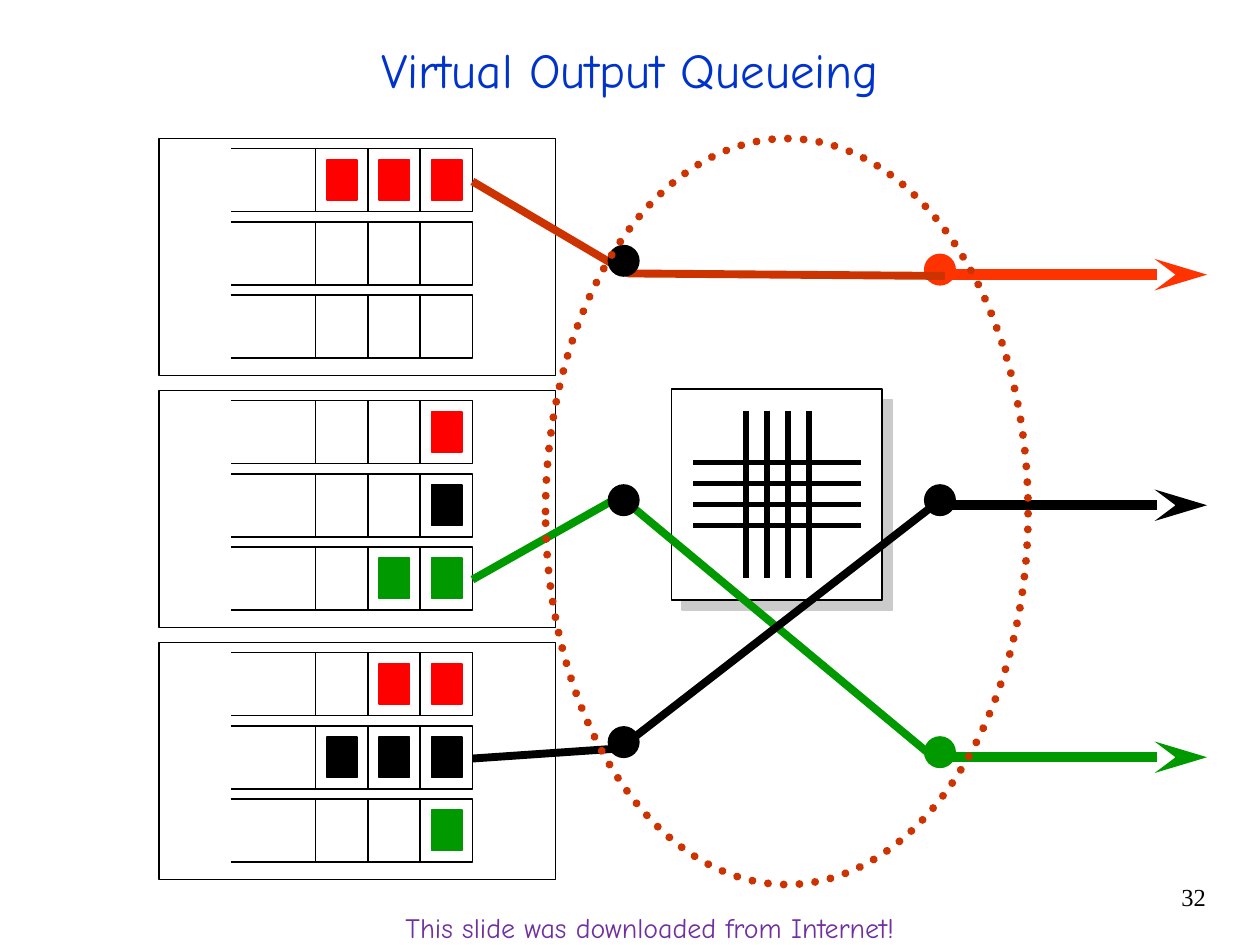
from dataclasses import dataclass

from lxml import etree
from pptx import Presentation
from pptx.dml.color import RGBColor
from pptx.enum import dml, shapes, text
from pptx.oxml import ns
from pptx.util import Inches, Pt

BLACK = RGBColor(0x00, 0x00, 0x00)
WHITE = RGBColor(0xFF, 0xFF, 0xFF)
RED = RGBColor(0xFF, 0x00, 0x00)
GREEN = RGBColor(0x00, 0x99, 0x00)
ORANGE = RGBColor(0xFF, 0x33, 0x00)
RUST = RGBColor(0xCC, 0x33, 0x00)
BLUE = RGBColor(0x00, 0x33, 0xCC)
PURPLE = RGBColor(0x70, 0x30, 0xA0)

RECTANGLE = shapes.MSO_SHAPE.RECTANGLE
OVAL = shapes.MSO_SHAPE.OVAL

QUEUE_LEFT, QUEUE_RIGHT, QUEUE_HEIGHT = 1.83, 3.75, 0.5
QUEUE_COLORS = (RED, BLACK, GREEN)
CELL_WIDTH = 0.415
DOT_SIZE = 0.24


@dataclass(frozen=True)
class InputPort:
    top: float
    waiting: tuple[int, int, int]


@dataclass(frozen=True)
class Output:
    arrow_y: float
    dot_top: float
    color: RGBColor


@dataclass(frozen=True)
class Circuit:
    points: tuple[tuple[float, float], ...]
    color: RGBColor


@dataclass(frozen=True)
class Label:
    wording: str
    box: tuple[float, float, float, float]
    font: dict
    frame: dict
    align: text.PP_ALIGN


PORTS = (
    InputPort(1.1, (3, 0, 0)),
    InputPort(3.1, (1, 1, 2)),
    InputPort(5.1, (2, 3, 1)),
)
OUTPUTS = (
    Output(2.18, 2.02, ORANGE),
    Output(4.01, 3.85, BLACK),
    Output(6.01, 5.85, GREEN),
)
CIRCUITS = (
    Circuit(((3.75, 1.44), (4.99, 2.17), (7.5, 2.19)), RUST),
    Circuit(((3.75, 4.6), (4.92, 3.94), (7.42, 6.02)), GREEN),
    Circuit(((3.75, 6.02), (4.92, 5.94), (7.5, 3.94)), BLACK),
)
INPUT_DOT_TOPS = (1.95, 3.85, 5.77)
LABELS = (
    Label("Virtual Output Queueing", (0.75, -0.08, 8.5, 1.25),
          {"name": "Comic Neue", "size": Pt(28), "color": BLUE},
          {"word_wrap": True, "vertical_anchor": text.MSO_ANCHOR.MIDDLE},
          text.PP_ALIGN.CENTER),
    Label("32", (7.34, 6.95, 2.33, 0.52),
          {"name": "Times New Roman", "size": Pt(14), "color": BLACK},
          {"word_wrap": True}, text.PP_ALIGN.RIGHT),
    Label("This slide was downloaded from Internet!", (3.12, 7.18, 4.54, 0.37),
          {"name": "Comic Neue", "size": Pt(16), "color": PURPLE},
          {"word_wrap": False, "auto_size": text.MSO_AUTO_SIZE.SHAPE_TO_FIT_TEXT},
          text.PP_ALIGN.LEFT),
)


def draw_shape(parent, kind, box, fill: RGBColor | None, line: RGBColor, width: float = 1):
    shape = parent.add_shape(kind, *map(Inches, box))
    shape.shadow.inherit = False
    if fill is None:
        shape.fill.background()
    else:
        shape.fill.solid()
        shape.fill.fore_color.rgb = fill
    shape.line.color.rgb = line
    shape.line.width = Pt(width)
    return shape


def draw_line(parent, start, end, color: RGBColor = BLACK, width: float = 1):
    line = parent.add_connector(shapes.MSO_CONNECTOR.STRAIGHT, *map(Inches, (*start, *end)))
    line.line.color.rgb = color
    line.line.width = Pt(width)
    etree.SubElement(line.element.spPr, ns.qn("a:effectLst"))
    return line


def draw_path(parent, points, color: RGBColor, width: float) -> None:
    start, *rest = [(Inches(x), Inches(y)) for x, y in points]
    builder = parent.build_freeform(*start)
    builder.add_line_segments(rest, close=False)
    outline = builder.convert_to_shape()
    outline.shadow.inherit = False
    outline.fill.background()
    outline.line.color.rgb = color
    outline.line.width = Pt(width)


def draw_label(parent, label: Label) -> None:
    box = parent.add_textbox(*map(Inches, label.box))
    for name, value in label.frame.items():
        setattr(box.text_frame, name, value)
    paragraph = box.text_frame.paragraphs[0]
    paragraph.alignment = label.align
    run = paragraph.add_run()
    run.text = label.wording
    for name, value in label.font.items():
        if name == "color":
            run.font.color.rgb = value
        else:
            setattr(run.font, name, value)


def draw_crossbar(parent) -> None:
    """Draw the switch fabric: a shadowed square with four wires each way."""
    square = draw_shape(parent, RECTANGLE, (5.33, 3.09, 1.67, 1.67), WHITE, BLACK)
    effects = square.element.spPr.find(ns.qn("a:effectLst"))
    shadow = etree.SubElement(effects, ns.qn("a:outerShdw"), blurRad="0", dist=str(Pt(8.5)),
                              dir="2700000", algn="ctr", rotWithShape="0")
    etree.SubElement(shadow, ns.qn("a:srgbClr"), val="CBCBCB")
    columns, rows = parent.add_group_shape().shapes, parent.add_group_shape().shapes
    for wire in range(4):
        x, y = 5.92 + wire / 6, 3.67 + wire / 6
        draw_line(columns, (x, 3.26), (x, 4.59), width=3)
        draw_line(rows, (5.5, y), (6.83, y), width=3)


def draw_queue(parent, top: float, waiting: int, color: RGBColor) -> None:
    bottom = top + QUEUE_HEIGHT
    queue = parent.add_group_shape().shapes
    draw_path(queue, ((QUEUE_LEFT, top), (QUEUE_RIGHT, top),
                      (QUEUE_RIGHT, bottom), (QUEUE_LEFT, bottom)), BLACK, 1)
    for cell in range(1, 4):
        x = QUEUE_RIGHT - cell * CELL_WIDTH
        draw_line(queue, (x, top), (x, bottom))
        if cell <= waiting:
            draw_shape(queue, RECTANGLE, (x + 0.09, top + 0.09, 0.24, 0.32), color, color)


def draw_port(parent, port: InputPort) -> None:
    draw_shape(parent, RECTANGLE, (1.26, port.top, 3.15, 1.88), WHITE, BLACK)
    for index, (waiting, color) in enumerate(zip(port.waiting, QUEUE_COLORS)):
        draw_queue(parent, port.top + 0.08 + index * 0.58, waiting, color)


def draw_dot(parent, left: float, top: float, color: RGBColor) -> None:
    draw_shape(parent, OVAL, (left, top, DOT_SIZE, DOT_SIZE), color, color)


def draw_output(parent, output: Output) -> None:
    arrow = draw_line(parent, (7.5, output.arrow_y), (9.58, output.arrow_y), output.color, 6)
    etree.SubElement(arrow.get_or_add_ln(), ns.qn("a:tailEnd"), type="stealth", w="med", len="lg")
    draw_dot(parent, 7.34, output.dot_top, output.color)


def main() -> None:
    deck = Presentation()
    deck.slide_width, deck.slide_height = Inches(10), Inches(7.5)
    canvas = deck.slides.add_slide(deck.slide_layouts[6]).shapes

    draw_crossbar(canvas)
    for output in OUTPUTS:
        draw_output(canvas, output)
    for port in PORTS:
        draw_port(canvas, port)
    circuits = canvas.add_group_shape().shapes
    for circuit in CIRCUITS:
        draw_path(circuits, circuit.points, circuit.color, 4.5)
    for top in INPUT_DOT_TOPS:
        draw_dot(canvas, 4.83, top, BLACK)
    fabric = draw_shape(canvas, OVAL, (4.33, 1.1, 3.83, 5.92), None, RUST, 4.5)
    fabric.line.dash_style = dml.MSO_LINE.ROUND_DOT
    fabric.get_or_add_ln().set("cap", "rnd")
    for label in LABELS:
        draw_label(canvas, label)

    deck.save("out.pptx")


if __name__ == "__main__":
    main()
